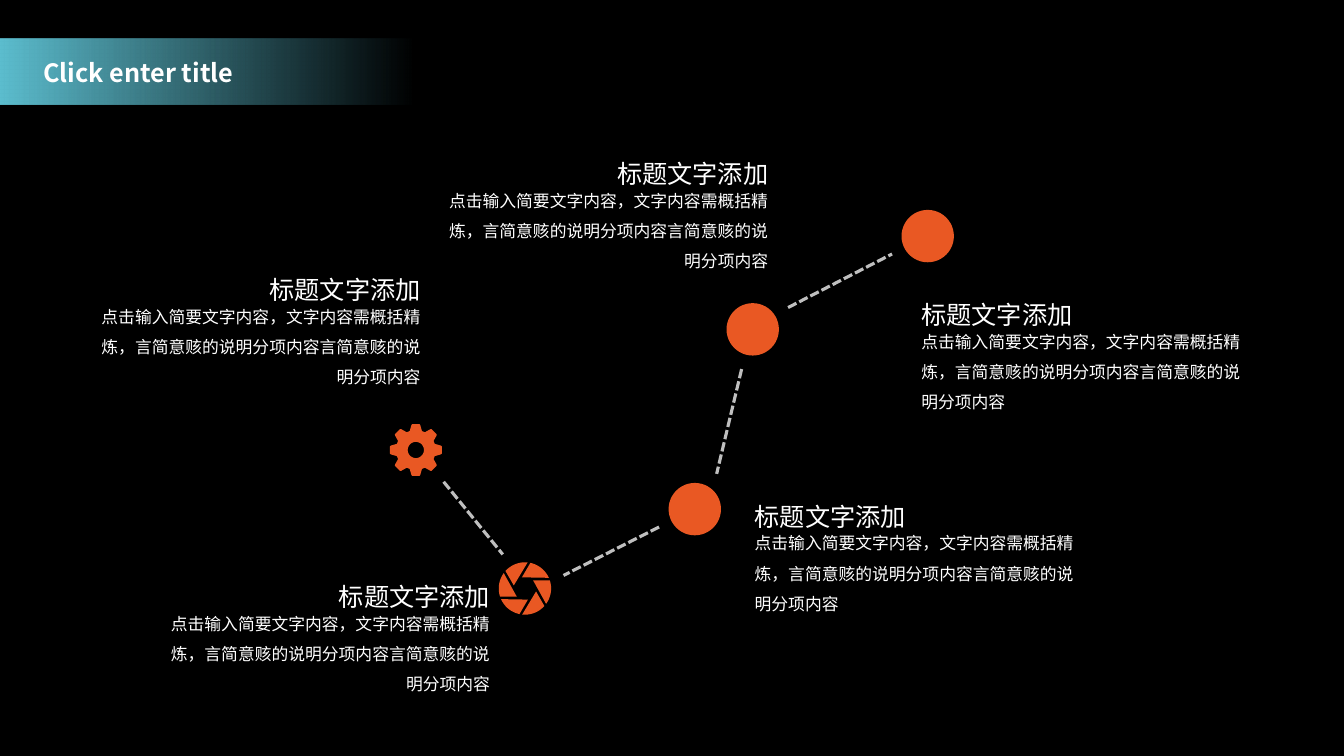
import math

from lxml import etree
from pptx import Presentation
from pptx import util as u
from pptx.dml.color import RGBColor
from pptx.enum import dml, shapes, text
from pptx.oxml.ns import qn

COLORS = {
    "background": "000000",
    "text": "FFFFFF",
    "accent": "E95823",
    "band": "5CBDCE",
    "link": "BFBFBF",
}
FONT = "Noto Sans CJK SC"
ICON = 1.32
HEADING = "标题文字添加"
DETAIL = "点击输入简要文字内容，文字内容需概括精炼，言简意赅的说明分项内容言简意赅的说明分项内容"

# Left and top of each item in cm, and whether it is right-aligned
ITEMS = [
    (23.22, 7.16, False),
    (19.02, 12.24, False),
    (3.99, 14.27, True),
    (11.0, 3.61, True),
    (2.24, 6.53, True),
]
# Ends of each dashed link in cm
LINKS = [
    (11.18, 12.14, 12.67, 13.97),
    (16.61, 13.28, 14.2, 14.5),
    (18.69, 9.3, 18.06, 11.94),
    (19.86, 7.75, 22.48, 6.4),
]
GEAR = (10.48, 11.34)
APERTURE = (13.23, 14.83)
DISCS = [(17.51, 12.83), (18.97, 8.3), (23.38, 5.95)]


def rgb(name):
    return RGBColor.from_string(COLORS[name])


def cm(*lengths):
    return [u.Cm(length) for length in lengths]


def style_run(run, size, bold=False):
    run.font.size = u.Pt(size)
    run.font.bold = bold
    run.font.name = FONT
    run.font.color.rgb = rgb("text")
    east_asian = etree.SubElement(run.font._element, qn("a:ea"))
    east_asian.set("typeface", FONT)


def paint_icon(icon):
    icon.shadow.inherit = False
    icon.fill.solid()
    icon.fill.fore_color.rgb = rgb("accent")
    icon.line.fill.background()


def polar(center, radius, degrees):
    """Return the point at an angle counted counter-clockwise from the right."""
    angle = math.radians(degrees)
    return tuple(cm(center[0] + radius * math.cos(angle),
                    center[1] - radius * math.sin(angle)))


def add_outline(slide, contours):
    """Draw closed contours as a single icon."""
    builder = slide.shapes.build_freeform(*contours[0][0])
    for number, contour in enumerate(contours):
        if number:
            builder.move_to(*contour[0])
        builder.add_line_segments(contour[1:], close=True)
    paint_icon(builder.convert_to_shape())


def add_gear(slide, center):
    radius = ICON / 2
    tooth = [(-18, 0.76), (-10, 0.97), (-8, 1), (8, 1), (10, 0.97), (18, 0.76)]
    rim = [polar(center, radius * share, 45 * number + offset)
           for number in range(8) for offset, share in tooth]
    hole = [polar(center, radius * 0.31, -angle) for angle in range(0, 360, 10)]
    add_outline(slide, [rim, hole])


def add_aperture(slide, center):
    radius = ICON / 2
    blades = []
    for turn in range(0, 360, 60):
        arc = [polar(center, radius, turn + angle) for angle in range(84, 139, 6)]
        blades.append(arc + [polar(center, radius * 0.44, turn + 165)])
    add_outline(slide, blades)


def add_disc(slide, center):
    disc = slide.shapes.add_shape(
        shapes.MSO_SHAPE.OVAL,
        *cm(center[0] - ICON / 2, center[1] - ICON / 2, ICON, ICON))
    paint_icon(disc)


def add_link(slide, ends):
    link = slide.shapes.add_connector(shapes.MSO_CONNECTOR.STRAIGHT, *cm(*ends))
    link.line.color.rgb = rgb("link")
    link.line.width = u.Pt(2.25)
    link.line.dash_style = dml.MSO_LINE.SQUARE_DOT
    etree.SubElement(link._element.spPr, qn("a:effectLst"))


def add_text(slide, box, wording, size, align):
    frame = slide.shapes.add_textbox(*cm(*box)).text_frame
    frame.word_wrap = True
    frame.margin_left = frame.margin_right = 0
    frame.margin_top = frame.margin_bottom = 0
    frame.text = wording
    paragraph = frame.paragraphs[0]
    paragraph.alignment = align
    paragraph.line_spacing = 1.5
    style_run(paragraph.runs[0], size)


def add_item(slide, left, top, to_right, width=8.36):
    """Place a heading and its detail on the same aligned edge."""
    align = text.PP_ALIGN.RIGHT if to_right else text.PP_ALIGN.LEFT
    heading_width = 6.81
    heading_left = left + width - heading_width if to_right else left
    add_text(slide, (left, top + 0.94, width, 2.24), DETAIL, 12, align)
    add_text(slide, (heading_left, top, heading_width, 1.04), HEADING, 18, align)


def add_diagram(slide):
    for ends in LINKS:
        add_link(slide, ends)
    add_gear(slide, GEAR)
    add_aperture(slide, APERTURE)
    for center in DISCS:
        add_disc(slide, center)


def add_title_band(slide, left, top, width, height):
    band = slide.shapes.add_shape(
        shapes.MSO_SHAPE.RECTANGLE, *cm(left, top, width, height))
    band.shadow.inherit = False
    band.line.fill.background()
    band.fill.gradient()
    band.fill.gradient_angle = 0
    start, end = band.fill.gradient_stops
    for stop, position in ((start, 0), (end, 0.79)):
        stop.color.rgb = rgb("band")
        stop.position = position
    clear_color = end._gs.find(qn("a:srgbClr"))
    etree.SubElement(clear_color, qn("a:alpha")).set("val", "0")

    title = slide.shapes.title
    title.left, title.top, title.width, title.height = cm(
        left + 0.84, top + 0.33, 9.09, 1.02)
    frame = title.text_frame
    frame.text = "Click enter title"
    frame.auto_size = text.MSO_AUTO_SIZE.NONE
    frame.vertical_anchor = text.MSO_ANCHOR.MIDDLE
    frame.paragraphs[0].alignment = text.PP_ALIGN.LEFT
    style_run(frame.paragraphs[0].runs[0], 18, bold=True)
    band._element.addnext(title._element)


def main():
    deck = Presentation()
    deck.slide_width, deck.slide_height = cm(33.87, 19.05)
    slide = deck.slides.add_slide(deck.slide_layouts[5])
    slide.background.fill.solid()
    slide.background.fill.fore_color.rgb = rgb("background")
    add_diagram(slide)
    for item in ITEMS:
        add_item(slide, *item)
    add_title_band(slide, 0, 0.98, 13.18, 1.66)
    deck.save("out.pptx")


if __name__ == "__main__":
    main()
